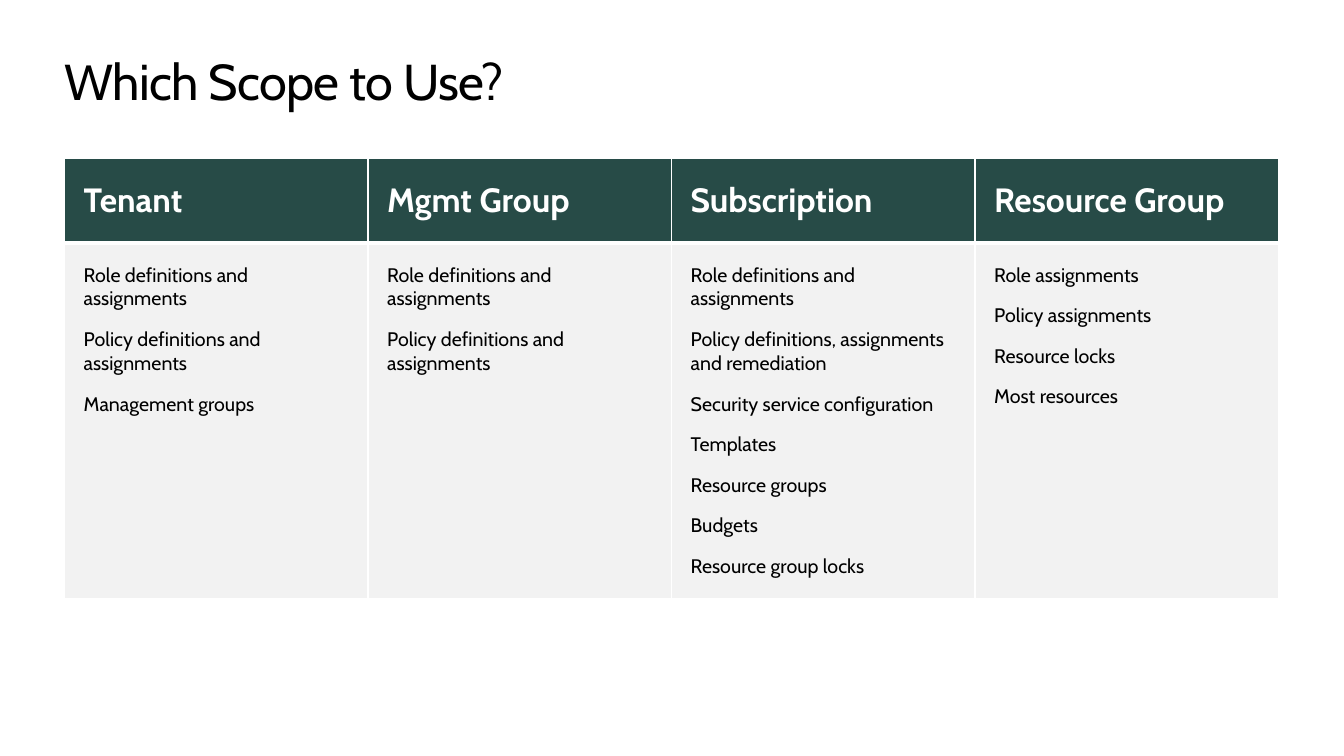
from lxml import etree
from pptx import Presentation
from pptx.dml.color import RGBColor
from pptx.enum.text import MSO_ANCHOR, MSO_AUTO_SIZE, PP_ALIGN
from pptx.oxml.ns import qn
from pptx.util import Pt

TOP, MIDDLE = MSO_ANCHOR.TOP, MSO_ANCHOR.MIDDLE
LEFT = PP_ALIGN.LEFT
NO_FIT = MSO_AUTO_SIZE.NONE

BLACK = RGBColor(0x00, 0x00, 0x00)
WHITE = RGBColor(0xFF, 0xFF, 0xFF)
GREEN = RGBColor(0x27, 0x4B, 0x47)
PALE_GREY = RGBColor(0xF2, 0xF2, 0xF2)

EMU_PER_PX = 9144  # 100 px to the inch
ROLES = "Role definitions and assignments"
POLICIES = "Policy definitions and assignments"
SCOPES = {
    "Tenant": [ROLES, POLICIES, "Management groups"],
    "Mgmt Group": [ROLES, POLICIES],
    "Subscription": [
        ROLES,
        "Policy definitions, assignments and remediation",
        "Security service configuration",
        "Templates",
        "Resource groups",
        "Budgets",
        "Resource group locks",
    ],
    "Resource Group": [
        "Role assignments",
        "Policy assignments",
        "Resource locks",
        "Most resources",
    ],
}


def px(length):
    return length * EMU_PER_PX


def write_text(frame, lines, size, color, font="Cabin", bold=False, gap=0, spacing=0):
    """Fill a text frame with one paragraph per line."""
    for index, line in enumerate(lines):
        paragraph = frame.add_paragraph() if index else frame.paragraphs[0]
        paragraph.alignment = LEFT
        paragraph.space_before = Pt(gap if index else 0)
        run = paragraph.add_run()
        run.text = line
        run.font.name = font
        run.font.size = Pt(size)
        run.font.bold = bold
        run.font.color.rgb = color
        if spacing:
            run.font._element.set("spc", str(int(spacing * 100)))


def set_borders(cell, color, **widths):
    """Draw the cell edges, given in points as L, R, T and B."""
    properties = cell._tc.get_or_add_tcPr()
    for position, (side, width) in enumerate(widths.items()):
        line = etree.Element(qn(f"a:ln{side}"), w=str(Pt(width)))
        fill = etree.SubElement(line, qn("a:solidFill"))
        etree.SubElement(fill, qn("a:srgbClr"), val=str(color))
        properties.insert(position, line)


class ScopeSlide:
    def __init__(self, presentation):
        self.slide = presentation.slides.add_slide(presentation.slide_layouts[5])

    def title(self, text, left, top, width, height):
        heading = self.slide.shapes.title
        heading.left, heading.top = px(left), px(top)
        heading.width, heading.height = px(width), px(height)
        frame = heading.text_frame
        frame.word_wrap = True
        frame.auto_size = NO_FIT
        frame.vertical_anchor = TOP
        frame.margin_left = frame.margin_right = 0
        frame.margin_top = frame.margin_bottom = 0
        write_text(frame, [text], 36, BLACK, spacing=-0.5)

    def cell(self, cell, lines, fill, anchor, edges, **text_format):
        cell.fill.solid()
        cell.fill.fore_color.rgb = fill
        cell.vertical_anchor = anchor
        cell.margin_left = cell.margin_right = px(19)
        cell.margin_top = cell.margin_bottom = px(20)
        set_borders(cell, WHITE, **edges)
        write_text(cell.text_frame, lines, **text_format)

    def table(self, scopes, left, top, column_width, row_heights):
        table = self.slide.shapes.add_table(
            len(row_heights), len(scopes), px(left), px(top),
            px(column_width * len(scopes)), px(sum(row_heights))).table
        table.horz_banding = False
        for row, height in zip(table.rows, row_heights):
            row.height = px(height)
        for column, (scope, uses) in enumerate(scopes.items()):
            table.columns[column].width = px(column_width)
            self.cell(table.cell(0, column), [scope], GREEN, MIDDLE,
                      dict(L=1, R=1, T=1, B=3), size=24, color=WHITE, bold=True)
            self.cell(table.cell(1, column), uses, PALE_GREY, TOP,
                      dict(L=1, R=1, T=3, B=1), size=14, color=BLACK, gap=12)


def main():
    presentation = Presentation()
    presentation.slide_width, presentation.slide_height = px(1333), px(750)
    scope_slide = ScopeSlide(presentation)

    # Title
    scope_slide.title("Which Scope to Use?", 64, 50, 1205, 61)

    # Scope comparison
    scope_slide.table(SCOPES, 64, 157, 301, [84, 348])

    presentation.save("out.pptx")


if __name__ == "__main__":
    main()
